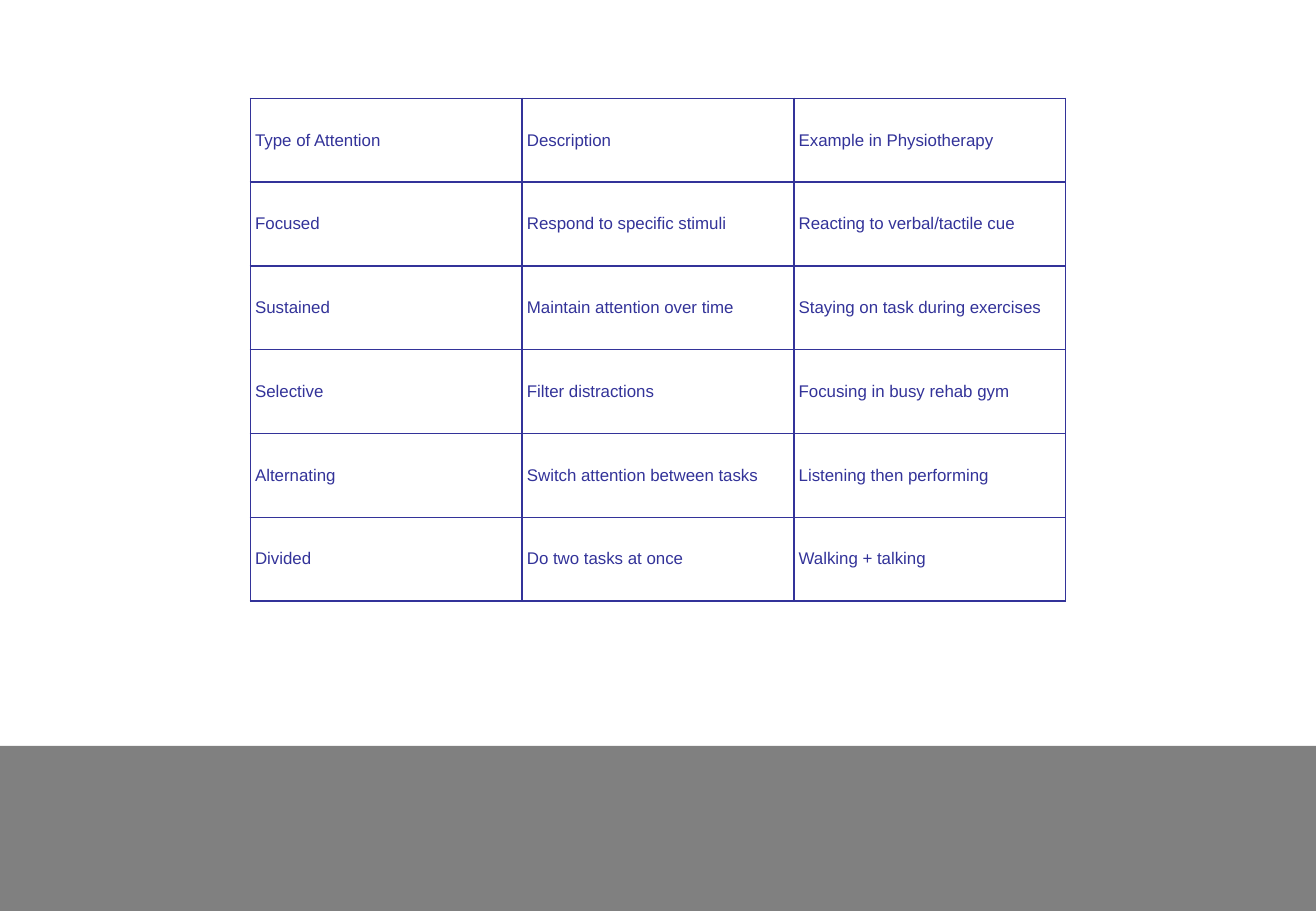
from dataclasses import dataclass

from lxml import etree
from pptx import Presentation
from pptx.dml.color import RGBColor
from pptx.enum.shapes import MSO_SHAPE
from pptx.enum.text import MSO_ANCHOR
from pptx.oxml.ns import qn
from pptx.util import Inches, Pt

RECTANGLE = MSO_SHAPE.RECTANGLE
MIDDLE = MSO_ANCHOR.MIDDLE

INDIGO = RGBColor(0x33, 0x33, 0x99)
GRAY = RGBColor(0x80, 0x80, 0x80)

SLIDE_WIDTH, SLIDE_HEIGHT = Inches(10.83), Inches(7.5)
BAND_TOP = Inches(6.14)
TABLE_LEFT, TABLE_TOP = Inches(2.06), Inches(0.81)
COLUMN_WIDTH, ROW_HEIGHT = Inches(2.237), Inches(0.69)
SIDE_MARGIN, END_MARGIN = Inches(0.04), Inches(0.02)
BORDER_WIDTH = Pt(1)


@dataclass(frozen=True)
class AttentionRow:
    kind: str
    description: str
    example: str

    def texts(self) -> tuple[str, str, str]:
        return self.kind, self.description, self.example


ROWS = (
    AttentionRow("Type of Attention", "Description", "Example in Physiotherapy"),
    AttentionRow("Focused", "Respond to specific stimuli", "Reacting to verbal/tactile cue"),
    AttentionRow("Sustained", "Maintain attention over time", "Staying on task during exercises"),
    AttentionRow("Selective", "Filter distractions", "Focusing in busy rehab gym"),
    AttentionRow("Alternating", "Switch attention between tasks", "Listening then performing"),
    AttentionRow("Divided", "Do two tasks at once", "Walking + talking"),
)


def write_text(para, text: str, *, size: float = 10, font: str = "Arial",
               color: RGBColor = INDIGO) -> None:
    span = para.add_run()
    span.text = text
    span.font.size = Pt(size)
    span.font.name = font
    span.font.color.rgb = color


def add_borders(cell, color: RGBColor, width: int) -> None:
    """Line all four sides; the schema wants the lines ahead of the fill."""
    properties = cell._tc.get_or_add_tcPr()
    for position, side in enumerate(("lnL", "lnR", "lnT", "lnB")):
        line = etree.Element(qn(f"a:{side}"), w=str(width))
        fill = etree.SubElement(line, qn("a:solidFill"))
        etree.SubElement(fill, qn("a:srgbClr"), val=str(color))
        properties.insert(position, line)


def format_cell(cell, text: str) -> None:
    cell.fill.background()
    cell.vertical_anchor = MIDDLE
    cell.margin_left = cell.margin_right = SIDE_MARGIN
    cell.margin_top = cell.margin_bottom = END_MARGIN
    add_borders(cell, INDIGO, BORDER_WIDTH)
    write_text(cell.text_frame.paragraphs[0], text)


def add_bottom_band(page) -> None:
    band = page.shapes.add_shape(
        RECTANGLE, 0, BAND_TOP, SLIDE_WIDTH, SLIDE_HEIGHT - BAND_TOP)
    band.shadow.inherit = False
    band.fill.solid()
    band.fill.fore_color.rgb = GRAY
    band.line.fill.background()


def add_attention_table(page, rows: tuple[AttentionRow, ...]) -> None:
    column_count = len(rows[0].texts())
    table = page.shapes.add_table(
        len(rows), column_count, TABLE_LEFT, TABLE_TOP,
        COLUMN_WIDTH * column_count, ROW_HEIGHT * len(rows)).table
    table.first_row = False
    table.horz_banding = False
    for row_index, row in enumerate(rows):
        for column_index, text in enumerate(row.texts()):
            format_cell(table.cell(row_index, column_index), text)


def main() -> None:
    deck = Presentation()
    deck.slide_width, deck.slide_height = SLIDE_WIDTH, SLIDE_HEIGHT
    page = deck.slides.add_slide(deck.slide_layouts[6])
    add_bottom_band(page)
    add_attention_table(page, ROWS)
    deck.save("out.pptx")


if __name__ == "__main__":
    main()
